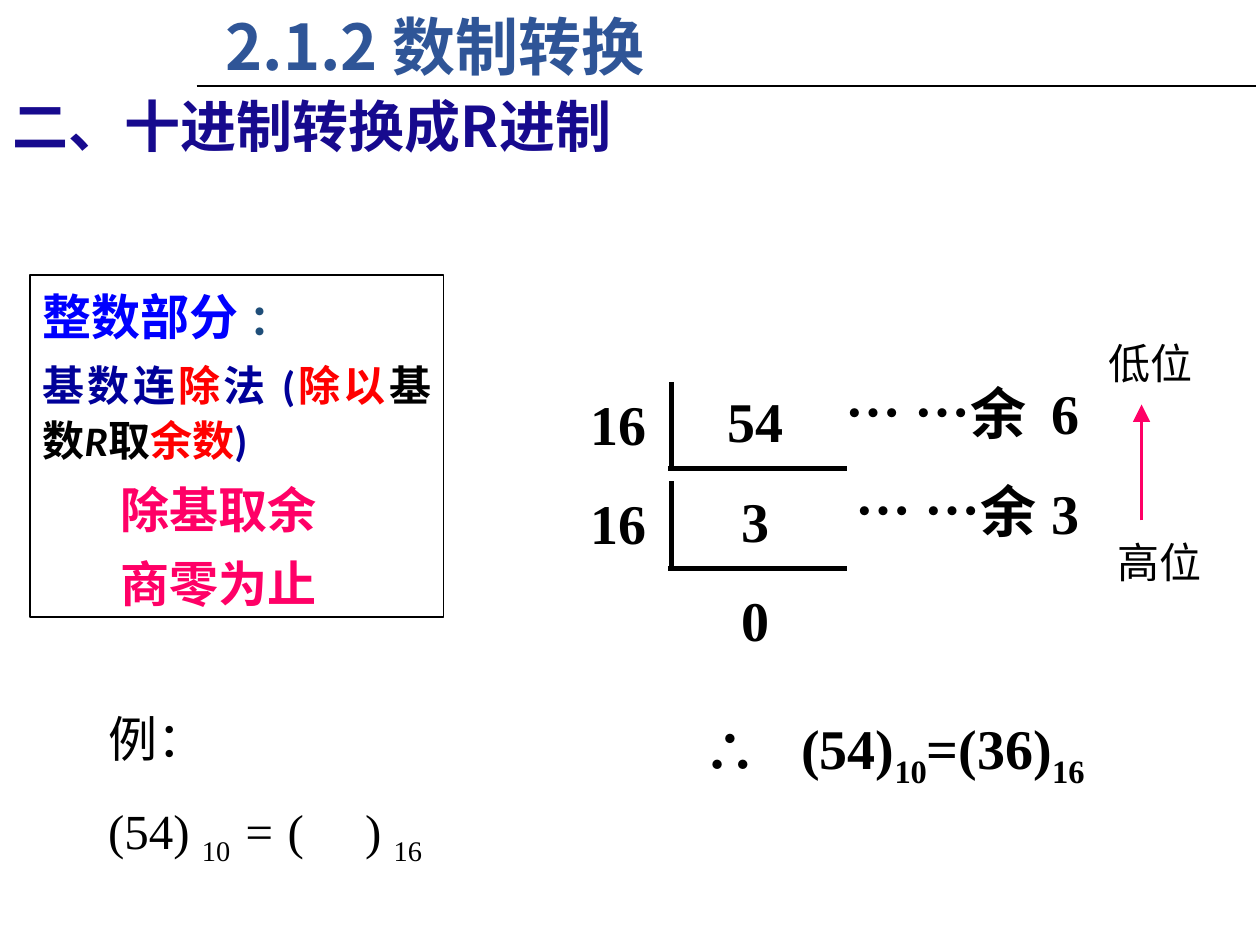
from lxml import etree
from pptx import Presentation
from pptx.dml.color import RGBColor
from pptx.enum.shapes import MSO_CONNECTOR, MSO_SHAPE
from pptx.enum.text import MSO_ANCHOR, PP_ALIGN
from pptx.oxml.ns import qn
from pptx.util import Pt

PX = 9144  # 100 px to the inch
LEFT, CENTER, JUSTIFY = PP_ALIGN.LEFT, PP_ALIGN.CENTER, PP_ALIGN.JUSTIFY
TOP, MIDDLE = MSO_ANCHOR.TOP, MSO_ANCHOR.MIDDLE
STRAIGHT, RECT = MSO_CONNECTOR.STRAIGHT, MSO_SHAPE.RECTANGLE

BLACK = RGBColor(0x00, 0x00, 0x00)
STEEL = RGBColor(0x2F, 0x55, 0x97)
INDIGO = RGBColor(0x17, 0x0A, 0x8E)
BLUE = RGBColor(0x00, 0x00, 0xFF)
TEAL = RGBColor(0x1F, 0x4E, 0x79)
NAVY = RGBColor(0x00, 0x00, 0x99)
RED = RGBColor(0xFF, 0x00, 0x00)
PINK = RGBColor(0xFF, 0x00, 0x66)

SANS, BODY, SERIF = "Noto Sans CJK SC", "Calibri", "Times New Roman"


def px(*sizes):
    return [n * PX for n in sizes]


def add_run(para, text, size, face, color=BLACK, bold=False, italic=False, sub=False):
    run = para.add_run()
    run.text = text
    font = run.font
    font.size, font.name, font.bold, font.italic = Pt(size), face, bold, italic
    font.color.rgb = color
    props = run._r.get_or_add_rPr()
    etree.SubElement(props, qn("a:ea")).set("typeface", SANS)
    if sub:
        props.set("baseline", "-25000")


def add_tab(para, pos):
    tabs = etree.SubElement(para._p.get_or_add_pPr(), qn("a:tabLst"))
    tab = etree.SubElement(tabs, qn("a:tab"))
    tab.set("pos", str(pos * PX))
    tab.set("algn", "l")


def add_box(slide, x, y, w, h, anchor=TOP, wrap=True):
    frame = slide.shapes.add_textbox(*px(x, y, w, h)).text_frame
    frame.word_wrap, frame.vertical_anchor = wrap, anchor
    return frame


def add_label(slide, x, y, w, h, text, size, face, color=BLACK, bold=False,
              align=LEFT, anchor=TOP, wrap=True):
    para = add_box(slide, x, y, w, h, anchor, wrap).paragraphs[0]
    para.alignment = align
    add_run(para, text, size, face, color, bold)


def add_line(slide, x1, y1, x2, y2, width, color=BLACK, arrow=False):
    line = slide.shapes.add_connector(STRAIGHT, *px(x1, y1, x2, y2))
    line.line.color.rgb, line.line.width = color, Pt(width)
    props = line.element.spPr
    if arrow:
        tip = etree.SubElement(props.find(qn("a:ln")), qn("a:tailEnd"))
        for key, value in [("type", "triangle"), ("w", "lg"), ("len", "lg")]:
            tip.set(key, value)
    etree.SubElement(props, qn("a:effectLst"))


def add_head(slide, x, y):
    """Title, rule and section heading."""
    add_line(slide, x + 156, y + 68, x + 997, y + 68, 1.25)
    add_label(slide, x + 169, y + 1, 512, 71, "2.1.2 数制转换", 36, SANS, STEEL, True)
    add_label(slide, x, y + 68, 691, 64, "二、十进制转换成R进制", 32, SANS, INDIGO, True)


def add_rule(slide, x, y, w, h):
    """Framed rule for the integer part."""
    box = slide.shapes.add_shape(RECT, *px(x, y, w, h))
    box.shadow.inherit = False
    box.fill.background()
    box.line.color.rgb, box.line.width = BLACK, Pt(1)
    frame = box.text_frame
    frame.word_wrap, frame.vertical_anchor = True, TOP
    # Each row: indent, then runs of text, size, colour and italic
    rows = [
        (0, [("整数部分 ", 28, BLUE), ("：", 24, TEAL)]),
        (0, [("基数连", 24, NAVY), ("除", 24, RED), ("法 (", 24, NAVY),
             ("除以", 24, RED), ("基数", 24, BLACK), ("R", 24, BLACK, True),
             ("取", 24, BLACK), ("余数", 24, RED), (")", 24, NAVY)]),
        (62, [("除基取余", 28, PINK)]),
        (62, [("商零为止", 28, PINK)]),
    ]
    for i, (indent, runs) in enumerate(rows):
        para = frame.add_paragraph() if i else frame.paragraphs[0]
        para.alignment, para.line_spacing = JUSTIFY, 1.1
        if i:
            para.space_before = Pt(5)
        if indent:
            para._p.get_or_add_pPr().set("marL", str(indent * PX))
        for text, size, color, *slant in runs:
            add_run(para, text, size, BODY, color, True, bool(slant))


def add_task(slide, x, y, w, h):
    """The example to solve."""
    frame = add_box(slide, x, y, w, h)
    first, second = frame.paragraphs[0], frame.add_paragraph()
    first.line_spacing = second.line_spacing = 1.5
    add_run(first, "例：", 28, SERIF)
    add_tab(second, 204)
    add_run(second, "(54) ", 28, SERIF)
    add_run(second, "10", 28, SERIF, sub=True)
    add_run(second, " =", 28, SERIF, italic=True)
    add_run(second, " (\t) ", 28, SERIF)
    add_run(second, "16", 28, SERIF, sub=True)


def add_steps(slide, x, y):
    """Repeated division by 16 with remainders."""
    def mark(mid, dy, w, text):
        add_label(slide, x + mid - w // 2, y + dy, w, 63, text, 32, SERIF, BLACK,
                  True, CENTER, MIDDLE, False)

    step = 79
    for i, rest in enumerate(["6", "3"]):
        top = i * step
        add_line(slide, x + 74, y + top + 7, x + 74, y + top + 76, 3)
        add_line(slide, x + 71, y + top + 76, x + 213, y + top + 76, 3)
        mark(32, top + 8, 90, "16")
        mark(284 + 8 * i, top - 2 * i, 180, "… …余")
        mark(387, top, 60, rest)
    for i, value in enumerate(["54", "3", "0"]):
        mark(141, 6 + i * step, 90, value)


def add_answer(slide, x, y, w, h):
    """Result of the conversion."""
    para = add_box(slide, x, y, w, h, MIDDLE).paragraphs[0]
    add_tab(para, 78)
    for text, sub in [("∴\t(54)", False), ("10", True), ("=(36)", False), ("16", True)]:
        add_run(para, text, 32, SERIF, bold=True, sub=sub)


def add_order(slide, x, y):
    """Reading order, from high digit to low digit."""
    add_line(slide, x + 36, y + 150, x + 36, y + 58, 1.25, PINK, True)
    add_label(slide, x, y, 101, 50, "低位", 24, SERIF)
    add_label(slide, x + 7, y + 158, 101, 50, "高位", 24, SERIF)


def main():
    deck = Presentation()
    deck.slide_width, deck.slide_height = px(1000, 750)
    slide = deck.slides.add_slide(deck.slide_layouts[6])
    add_head(slide, 0, 0)
    add_rule(slide, 24, 218, 328, 272)
    add_task(slide, 76, 534, 283, 143)
    add_steps(slide, 459, 296)
    add_answer(slide, 548, 565, 370, 63)
    add_order(slide, 870, 263)
    deck.save("out.pptx")


if __name__ == "__main__":
    main()
